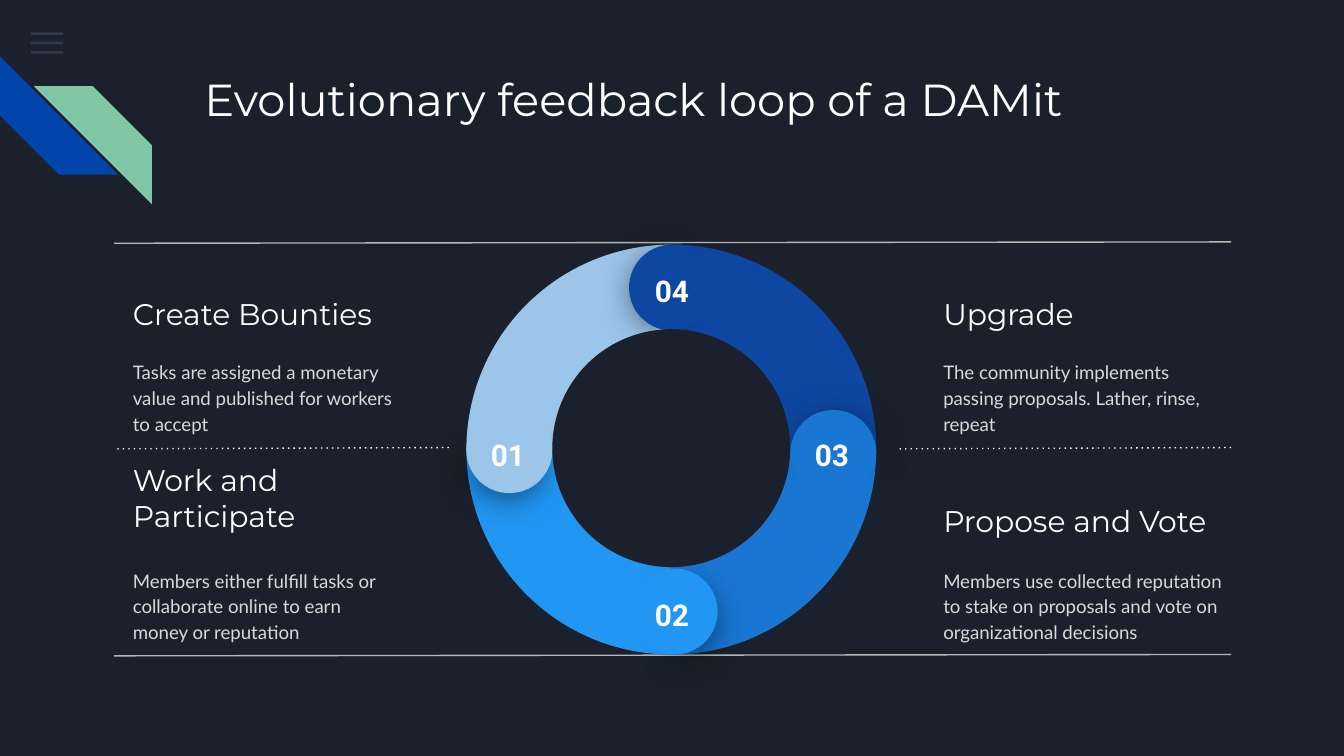
from lxml import etree
from pptx import Presentation
from pptx.dml.color import RGBColor
from pptx.enum import dml, shapes, text
from pptx.oxml import ns
from pptx.util import Inches, Pt

NIGHT = RGBColor(0x1B, 0x21, 0x2C)
SLATE = RGBColor(0x55, 0x68, 0x8B)
COBALT = RGBColor(0x01, 0x45, 0xAC)
MINT = RGBColor(0x82, 0xC7, 0xA5)
WHITE = RGBColor(0xFF, 0xFF, 0xFF)
PALE = RGBColor(0xD9, 0xD9, 0xD9)
GREY = RGBColor(0xB7, 0xB7, 0xB7)
SKY = RGBColor(0x9B, 0xC5, 0xE9)
AZURE = RGBColor(0x21, 0x96, 0xF3)
BLUE = RGBColor(0x19, 0x76, 0xD2)
NAVY = RGBColor(0x0D, 0x47, 0xA1)

SHAPE = shapes.MSO_SHAPE
QUARTER = (107.96, 162.01)
HALF = (189.54, 83.81)
WIDE_HALF = (196.87, 77.71)
DISC = (25.01, 18.12)
RING_BOX = (3.47, 1.82, 3.05, 3.05)

CARDS = [
    (0.89, 2.09, 2.03, 2.57, 2.18, ["Create Bounties"],
     "Tasks are assigned a monetary value and published for workers to accept"),
    (0.89, 3.46, 2.58, 4.12, 2.18, ["Work and", "Participate"],
     "Members either fulfill tasks or collaborate online to earn money or reputation"),
    (6.92, 2.09, 2.22, 2.57, 2.29, ["Upgrade"],
     "The community implements passing proposals. Lather, rinse, repeat"),
    (6.92, 3.63, 2.22, 4.12, 2.38, ["Propose and Vote"],
     "Members use collected reputation to stake on proposals and vote on "
     "organizational decisions"),
]

STAGES = [
    ("01", SKY, 0, HALF, (3.48, 3.07), (3.47, 3.03), (3.5, 3.15)),
    ("02", AZURE, 270, HALF, (4.74, 4.28), (4.7, 4.23), (4.72, 4.34)),
    ("03", BLUE, 180, WIDE_HALF, (5.93, 3.07), (5.88, 3.05), (5.91, 3.15)),
    ("04", NAVY, 90, HALF, (4.7, 1.83), (4.68, 1.82), (4.72, 1.93)),
]


def add_alpha(color, percent):
    etree.SubElement(color, ns.qn("a:alpha"), val=str(percent * 1000))


def add_filled(s, kind, box, color, adj=(), rotation=0):
    sp = s.shapes.add_shape(kind, *map(Inches, box))
    for i, value in enumerate(adj):
        sp.adjustments[i] = value
    sp.rotation = rotation
    sp.fill.solid()
    sp.fill.fore_color.rgb = color
    sp.line.fill.background()
    sp.shadow.inherit = False
    return sp


def add_shadow(sp):
    effects = sp.element.spPr.find(ns.qn("a:effectLst"))
    shadow = etree.SubElement(
        effects, ns.qn("a:outerShdw"), blurRad=str(Pt(18)), dist=str(Pt(4)),
        dir="5400000", algn="bl", rotWithShape="0")
    add_alpha(etree.SubElement(shadow, ns.qn("a:srgbClr"), val="000000"), 55)


def format_text(tf, lines, size, font, color, anchor=text.MSO_ANCHOR.TOP,
                align=text.PP_ALIGN.LEFT, bold=False, spacing=None):
    tf.word_wrap = True
    tf.auto_size = text.MSO_AUTO_SIZE.NONE
    tf.vertical_anchor = anchor
    tf.margin_left = tf.margin_right = Inches(0.1)
    tf.margin_top = tf.margin_bottom = Inches(0.1)
    tf.text = "\n".join(lines)
    for p in tf.paragraphs:
        p.alignment = align
        p.font.size = Pt(size)
        p.font.name = font
        p.font.bold = bold
        p.font.color.rgb = color
        if spacing:
            p.line_spacing = spacing
            p.space_after = Pt(16)


def add_text(s, box, lines, *args, **kwargs):
    sp = s.shapes.add_textbox(*map(Inches, box))
    format_text(sp.text_frame, lines, *args, **kwargs)


def add_rule(s, right, left, y, color, dotted=False):
    line = s.shapes.add_connector(
        shapes.MSO_CONNECTOR.STRAIGHT,
        Inches(right), Inches(y), Inches(left), Inches(y + 0.01))
    line.line.color.rgb = color
    line.line.width = Pt(0.75)
    if dotted:
        line.line.dash_style = dml.MSO_LINE.ROUND_DOT
        line.element.spPr.find(".//" + ns.qn("a:prstDash")).set("val", "dot")
    etree.SubElement(line.element.spPr, ns.qn("a:effectLst"))


def add_decoration(s):
    for i in range(3):
        bar = add_filled(s, SHAPE.RECTANGLE, (0.23, 0.24 + 0.07 * i, 0.24, 0.02), SLATE)
        add_alpha(bar.element.spPr.find(".//" + ns.qn("a:srgbClr")), 36)
    add_filled(s, SHAPE.DIAGONAL_STRIPE, (0, 0.42, 0.88, 0.88), COBALT, [0.5], 270)
    stripe = add_filled(s, SHAPE.DIAGONAL_STRIPE, (0.25, 0.64, 0.88, 0.88), MINT, [0.5])
    stripe.element.spPr.find(ns.qn("a:xfrm")).set("flipH", "1")


def add_title(s, wording):
    title = s.shapes.title
    title.left, title.top = Inches(1.42), Inches(0.43)
    title.width, title.height = Inches(7.7), Inches(1)
    format_text(title.text_frame, [wording], 24, "Montserrat", WHITE)


def add_cards(s):
    middle = text.MSO_ANCHOR.MIDDLE
    for x, head_y, head_w, body_y, body_w, heading, body in CARDS:
        add_text(s, (x, head_y, head_w, 0.49), heading, 16, "Montserrat", WHITE, middle)
        add_text(s, (x, body_y, body_w, 0.76), [body], 10, "Lato", PALE, middle,
                 spacing=1.15)


def add_loop(s):
    for _, color, turn, *_ in STAGES:
        add_filled(s, SHAPE.PIE, RING_BOX, color, QUARTER, turn)
    for number, color, turn, arc, cap, disc, label in STAGES:
        add_shadow(add_filled(s, SHAPE.PIE, (*cap, 0.57, 0.57), color, arc,
                              (turn + 39.5) % 360))
        add_filled(s, SHAPE.CHORD, (*disc, 0.64, 0.64), color, DISC, turn + 4.1)
        add_text(s, (*label, 0.56, 0.29), [number], 16, "Roboto", WHITE,
                 align=text.PP_ALIGN.CENTER, bold=True)
    add_filled(s, SHAPE.OVAL, (4.11, 2.45, 1.77, 1.77), NIGHT)


def main():
    prs = Presentation()
    prs.slide_width = Inches(10)
    prs.slide_height = prs.slide_width * 9 // 16
    s = prs.slides.add_slide(prs.slide_layouts[5])
    s.background.fill.solid()
    s.background.fill.fore_color.rgb = NIGHT
    add_decoration(s)
    add_title(s, "Evolutionary feedback loop of a DAMit")
    add_cards(s)
    add_rule(s, 9.16, 0.85, 1.8, GREY)
    add_rule(s, 3.34, 0.85, 3.33, WHITE, dotted=True)
    add_rule(s, 9.16, 6.67, 3.33, WHITE, dotted=True)
    add_rule(s, 9.16, 0.85, 4.87, GREY)
    add_loop(s)
    prs.save("out.pptx")


if __name__ == "__main__":
    main()
